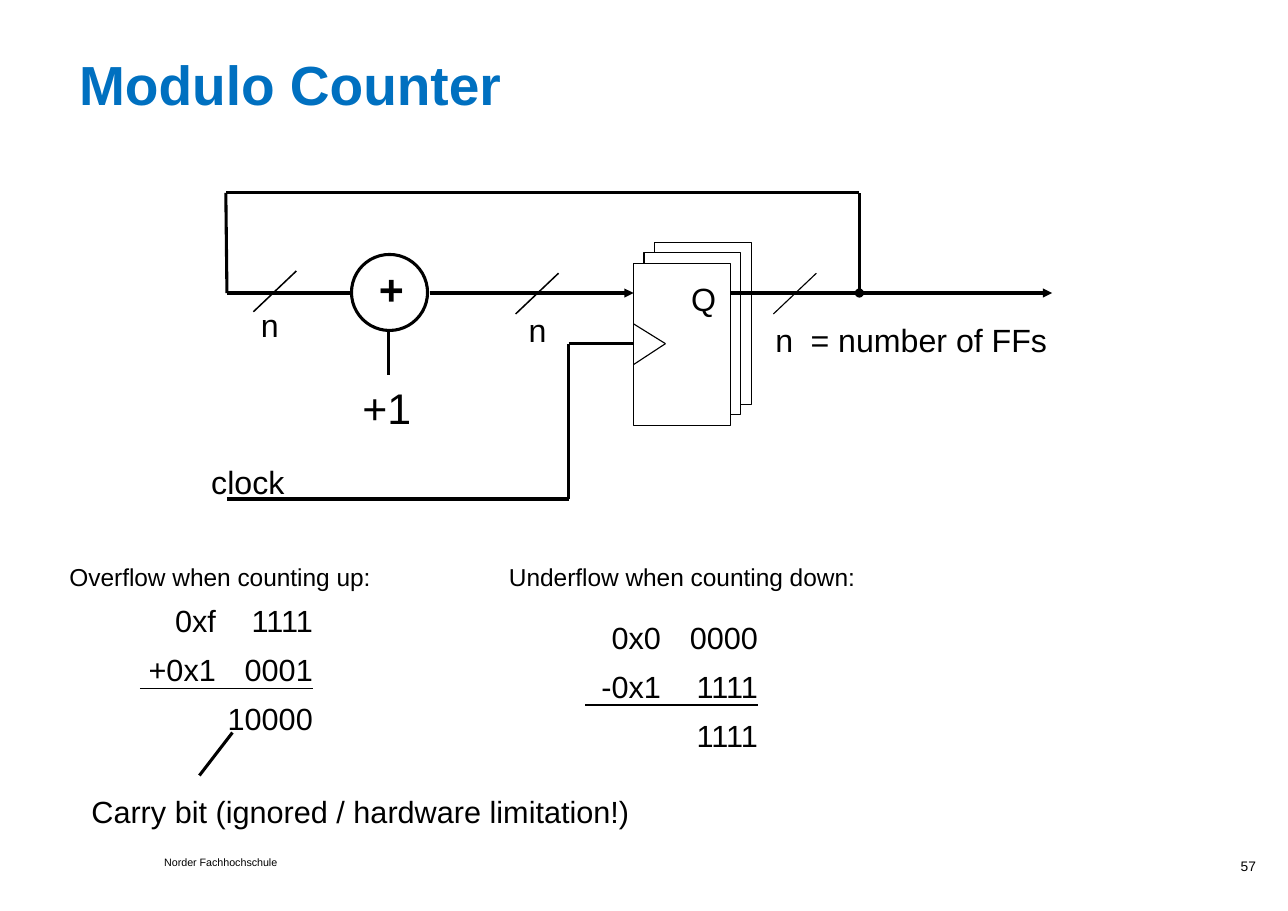
from itertools import pairwise
from lxml.etree import SubElement
from pptx import Presentation
from pptx.dml.color import RGBColor
from pptx.enum.shapes import MSO_CONNECTOR as CONN, MSO_SHAPE as SHAPE
from pptx.enum.text import MSO_ANCHOR as ANCHOR, PP_ALIGN as ALIGN
from pptx.oxml.ns import qn
from pptx.util import Inches, Pt

NO_STYLE = "{2D5ABB26-0587-4C30-8999-92F81FD0307C}"


def rgb(value):
    """Turn a hex string into a colour."""
    return RGBColor.from_string(value)


def write(tf, text, size=21, color="000000", bold=False, align=ALIGN.LEFT, spacing=None):
    """Put one formatted paragraph into a text frame."""
    p = tf.paragraphs[0]
    p.alignment = align
    if spacing:
        p.line_spacing = Pt(spacing)
    r = p.add_run()
    r.text = text
    r.font.name, r.font.size, r.font.bold = "Arial", Pt(size), bold
    r.font.color.rgb = rgb(color)


class Sketch:
    """Slide with a grid of tenths of an inch and black line work."""

    def __init__(self, slide, ink="000000"):
        """Keep the slide and the ink colour."""
        self.s, self.ink = slide, ink

    def grid(self, *cells):
        """Convert grid columns and rows to lengths."""
        return [Inches(c / 10) for c in cells]

    def text(self, box, text, inset=(0, 0), anchor=ANCHOR.TOP, wrap=False, **fmt):
        """Add a text box."""
        tf = self.s.shapes.add_textbox(*self.grid(*box)).text_frame
        tf.word_wrap, tf.vertical_anchor = wrap, anchor
        dx, dy = self.grid(*inset)
        tf.margin_left = tf.margin_right = dx
        tf.margin_top = tf.margin_bottom = dy
        write(tf, text, **fmt)

    def label(self, box, text):
        """Add a centred signal name."""
        self.text(box, text, inset=(1.1, 0.6), align=ALIGN.CENTER)

    def note(self, box, text, size=20, **fmt):
        """Add a line of text with fixed spacing."""
        self.text(box, text, anchor=ANCHOR.BOTTOM, size=size, spacing=32, **fmt)

    def shape(self, kind, box, width, fill=None):
        """Add an outlined preset shape."""
        sp = self.s.shapes.add_shape(kind, *self.grid(*box))
        sp.shadow.inherit = False
        if fill:
            sp.fill.solid()
            sp.fill.fore_color.rgb = rgb(fill)
        else:
            sp.fill.background()
        sp.line.color.rgb, sp.line.width = rgb(self.ink), Pt(width)

    def line(self, start, end, width=2, head=None, tail=None):
        """Add a straight line with optional ends."""
        cx = self.s.shapes.add_connector(CONN.STRAIGHT, *self.grid(*start, *end))
        cx.line.color.rgb, cx.line.width = rgb(self.ink), Pt(width)
        sp_pr = cx._element.spPr
        for tag, kind in (("a:headEnd", head), ("a:tailEnd", tail)):
            if kind:
                SubElement(sp_pr.find(qn("a:ln")), qn(tag), type=kind)
        SubElement(sp_pr, qn("a:effectLst"))

    def wire(self, *points, width=2):
        """Join points with straight lines."""
        for start, end in pairwise(points):
            self.line(start, end, width)

    def border(self, cell, side):
        """Rule one side of a table cell."""
        ln = cell._tc.get_or_add_tcPr().makeelement(qn(side), w=str(Pt(1)))
        SubElement(SubElement(ln, qn("a:solidFill")), qn("a:srgbClr"), val=self.ink)
        cell._tc.get_or_add_tcPr().insert(0, ln)

    def sum(self, left, top, rows):
        """Add a written calculation ruled above its result."""
        columns, height = (6.9, 8.8), 4.44
        frame = self.s.shapes.add_table(len(rows), len(columns), *self.grid(
            left, top, sum(columns), height * len(rows)))
        table = frame.table
        table.first_row = table.horz_banding = False
        for style in frame._element.iter(qn("a:tableStyleId")):
            style.text = NO_STYLE
        for col, width in zip(table.columns, self.grid(*columns)):
            col.width = width
        for i, row in enumerate(rows):
            for j, value in enumerate(row):
                cell = table.cell(i, j)
                cell.margin_left = cell.margin_right = 0
                cell.margin_top = cell.margin_bottom = 0
                cell.fill.background()
                if value:
                    write(cell.text_frame, value, size=20, align=ALIGN.RIGHT, spacing=32)
                if i:
                    self.border(cell, "a:lnB" if i == 1 else "a:lnT")


def main():
    """Build the modulo counter slide."""
    prs = Presentation()
    prs.slide_width, prs.slide_height = Inches(11.69), Inches(8.27)
    d = Sketch(prs.slides.add_slide(prs.slide_layouts[6]))

    d.text((6.2, 5.6, 40.7, 5.5), "Modulo Counter", inset=(1, 0.5), size=36,
           color="0070C0", bold=True, spacing=32)
    d.text((14.9, 77.9, 13.2, 1), "Norder Fachhochschule", size=7, spacing=7)
    d.text((100.7, 77.9, 13.3, 2.1), "57", size=9, align=ALIGN.RIGHT, wrap=True)

    data, clock, out = 26.6, 31.2, 78
    for i, fill in enumerate((None, "FFFFFF", "FFFFFF")):
        d.shape(SHAPE.RECTANGLE, (59.4 - 0.95 * i, 22 + 0.95 * i, 8.8, 14.7), 0.75, fill)
    d.label((61.4, 24.8, 4.9, 4.4), "Q")
    d.wire((57.5, 29.4), (60.4, clock), (57.5, 33.1), width=0.75)
    d.wire((20.6, 45.3), (51.6, 45.3), (51.6, clock), (57.5, clock))
    d.label((18, 41.4, 9, 4.7), "clock")

    d.line((39, data), (57.5, data), tail="triangle")
    d.line((66.3, data), (out, data))
    d.line((out, data), (95.5, data), tail="triangle")
    d.line((out, data), (out, 17.5), head="oval")
    d.wire((out, 17.5), (20.5, 17.5), (20.6, data), (31.8, data))
    for x, y, width in ((23, 28.3, 1), (46.8, 28.5, 1), (70.2, 28.5, 0.75)):
        d.line((x, y), (x + 3.9, y - 3.7), width)
    for x, y in ((22.5, 27.1), (46.8, 27.6), (69.2, 28.5)):
        d.label((x, y, 4, 4.4), "n")
    d.label((71.9, 28.5, 24.8, 4.7), "= number of FFs")

    d.shape(SHAPE.OVAL, (31.9, 23.1, 6.9, 6.9), 2)
    d.note((34.4, 24.1, 2.6, 4.4), "+", size=28, bold=True)
    d.line((35.3, 30), (35.3, 34))
    d.note((32.9, 34.9, 6, 4.4), "+1", size=28)

    d.note((6.3, 49.2, 30, 4.5), "Overflow when counting up:", size=16)
    d.sum(12.7, 53.6, (("0xf", "1111"), ("+0x1", "0001"), ("", "10000")))
    d.line((18.1, 70.4), (21.1, 66.5))
    d.note((8.3, 70.8, 52, 4.5), "Carry bit (ignored / hardware limitation!)")
    d.note((46.2, 49.2, 34, 4.5), "Underflow when counting down:", size=16)
    d.sum(53.1, 55.1, (("0x0", "0000"), ("-0x1", "1111"), ("", "1111")))
    prs.save("out.pptx")


main()
